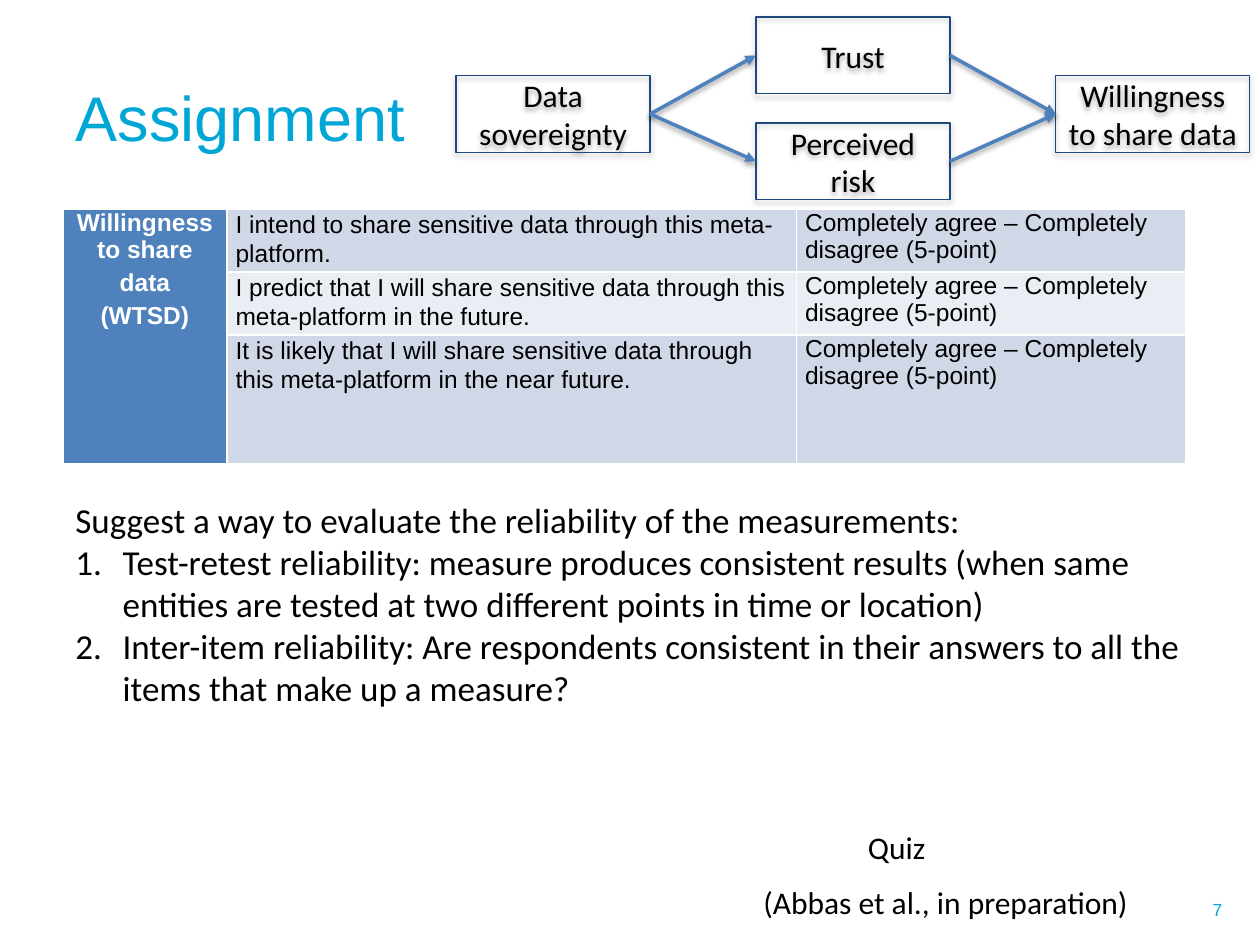
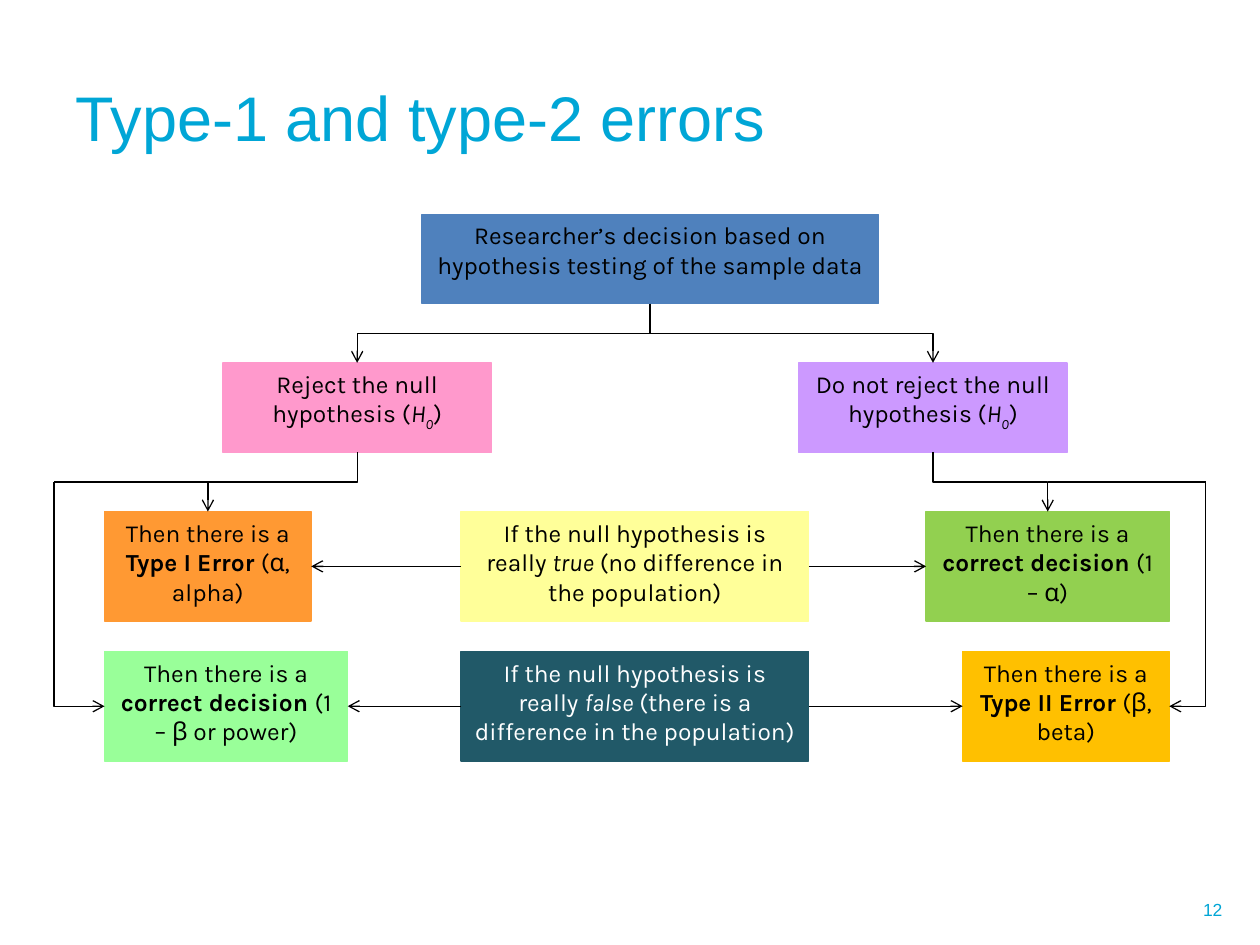
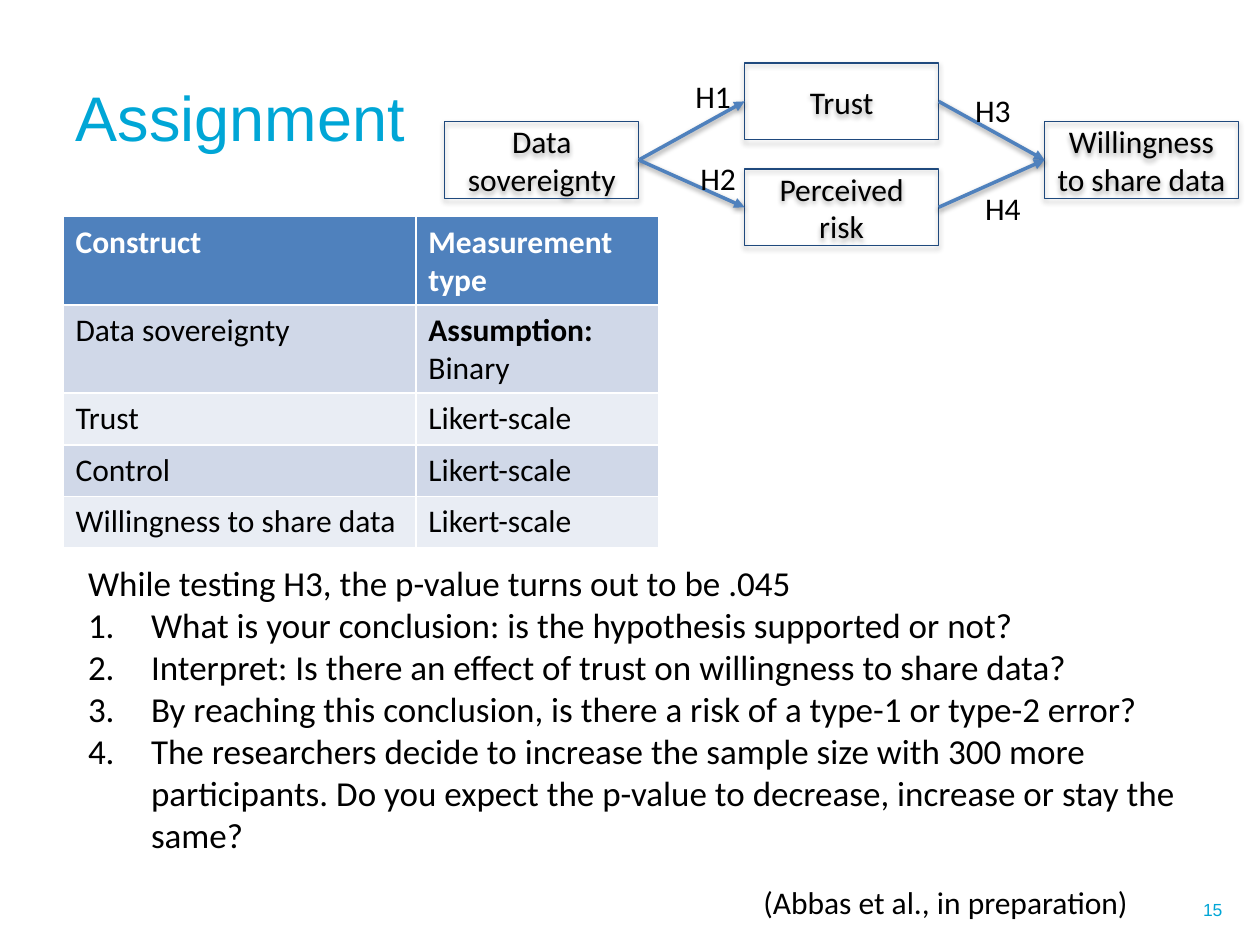
from lxml import etree
from pptx import Presentation
from pptx.dml.color import RGBColor
from pptx.enum.shapes import MSO_CONNECTOR, MSO_SHAPE
from pptx.enum.text import MSO_ANCHOR, PP_ALIGN
from pptx.oxml.ns import qn
from pptx.util import Emu, Inches, Pt

RECTANGLE = MSO_SHAPE.RECTANGLE
STRAIGHT, ELBOW = MSO_CONNECTOR.STRAIGHT, MSO_CONNECTOR.ELBOW
TOP, MIDDLE = MSO_ANCHOR.TOP, MSO_ANCHOR.MIDDLE
LEFT, CENTER, RIGHT = PP_ALIGN.LEFT, PP_ALIGN.CENTER, PP_ALIGN.RIGHT

BLACK = RGBColor(0x00, 0x00, 0x00)
WHITE = RGBColor(0xFF, 0xFF, 0xFF)
CYAN = RGBColor(0x00, 0xA6, 0xD6)
NAVY = RGBColor(0x1F, 0x49, 0x7D)
BLUE = RGBColor(0x4F, 0x81, 0xBD)
BAND_DARK = RGBColor(0xD0, 0xD8, 0xE8)
BAND_LIGHT = RGBColor(0xE9, 0xED, 0xF4)
PINK = RGBColor(0xFF, 0x99, 0xCC)
LILAC = RGBColor(0xCC, 0x99, 0xFF)
YELLOW = RGBColor(0xFF, 0xFF, 0x99)
TEAL = RGBColor(0x21, 0x59, 0x68)
ORANGE = RGBColor(0xFF, 0x99, 0x33)
MINT = RGBColor(0x99, 0xFF, 0x99)
AMBER = RGBColor(0xFF, 0xC0, 0x00)
GREEN = RGBColor(0x92, 0xD0, 0x50)

HEAD_FONT, BODY_FONT, CHART_FONT = "Arial", "Calibri", "Karla"
TITLE_ONLY = 5
COLUMNS, ROWS = 100, 75
SLIDE_WIDTH, SLIDE_HEIGHT = Inches(10), Inches(7.5)
SIDE_LEFT, SIDE_RIGHT = 1, 3  # connection sites of a rectangle
QUARTER_TURN, THREE_QUARTER_TURN = "5400000", "16200000"

SOURCE = "(Abbas et al., in preparation)"


def across(columns):
    return Emu(round(columns * SLIDE_WIDTH / COLUMNS))


def down(rows):
    return Emu(round(rows * SLIDE_HEIGHT / ROWS))


def place(at):
    left, top, width, height = at
    return across(left), down(top), across(width), down(height)


def top_of(box):
    return box.left + box.width // 2, box.top


def bottom_of(box):
    return box.left + box.width // 2, box.top + box.height


def cast_shadow(effects, distance, opacity):
    shadow = etree.SubElement(effects, qn("a:outerShdw"), blurRad="40000", dist=str(distance),
                              dir="5400000", rotWithShape="0")
    tone = etree.SubElement(shadow, qn("a:srgbClr"), val="000000")
    etree.SubElement(tone, qn("a:alpha"), val=str(opacity * 1000))


def number(paragraph, indent):
    """Turn a paragraph into an item of a numbered list."""
    properties = paragraph._p.get_or_add_pPr()
    properties.set("marL", str(indent))
    properties.set("indent", str(-indent))
    etree.SubElement(properties, qn("a:buFont"), typeface="+mj-lt")
    etree.SubElement(properties, qn("a:buAutoNum"), type="arabicPeriod")


def write(frame, paragraphs, size, font=BODY_FONT, color=BLACK, align=LEFT, bold=False):
    """Fill a frame; a paragraph is a string or a list of (text, emphasis) pieces."""
    for index, content in enumerate(paragraphs):
        paragraph = frame.paragraphs[0] if index == 0 else frame.add_paragraph()
        paragraph.alignment = align
        pieces = [(content, "")] if isinstance(content, str) else content
        for words, emphasis in pieces:
            run = paragraph.add_run()
            run.text = words
            run.font.size, run.font.name = Pt(size), font
            run.font.color.rgb = color
            run.font.bold = bold or emphasis == "bold"
            run.font.italic = emphasis in ("italic", "subscript")
            if emphasis == "subscript":
                run.font._element.set("baseline", "-25000")


class Deck:
    def __init__(self):
        self.presentation = Presentation()
        self.presentation.slide_width = SLIDE_WIDTH
        self.presentation.slide_height = SLIDE_HEIGHT
        self.slide = None

    def start(self, heading, page):
        """Add a slide with its title and page number."""
        self.slide = self.presentation.slides.add_slide(
            self.presentation.slide_layouts[TITLE_ONLY])
        title = self.slide.shapes.title
        title.left, title.top, title.width, title.height = place((5, 3, 91.4, 12.5))
        title.text_frame.vertical_anchor = MIDDLE
        write(title.text_frame, [heading], 36, HEAD_FONT, CYAN)
        self.text((72.7, 70.2, 25.3, 4), [str(page)], 10, MIDDLE,
                  font=HEAD_FONT, color=CYAN, align=RIGHT)

    def text(self, at, paragraphs, size=18, anchor=TOP, **style):
        frame = self.slide.shapes.add_textbox(*place(at)).text_frame
        frame.word_wrap = True
        frame.vertical_anchor = anchor
        write(frame, paragraphs, size, **style)
        return frame

    def questions(self, at, lead, items, indent):
        frame = self.text(at, [lead, *items], 20)
        for paragraph in frame.paragraphs[1:]:
            number(paragraph, across(indent))

    def box(self, at, content, size, fill=None, line=NAVY, anchor=TOP, **style):
        box = self.slide.shapes.add_shape(RECTANGLE, *place(at))
        if fill is None:
            box.fill.background()
        else:
            box.fill.solid()
            box.fill.fore_color.rgb = fill
        box.line.color.rgb = line
        box.line.width = Pt(0.75)
        box.shadow.inherit = False
        box.text_frame.word_wrap = True
        box.text_frame.vertical_anchor = anchor
        write(box.text_frame, [content], size, align=CENTER, **style)
        return box

    def line(self, start, end, kind=STRAIGHT, head="arrow", color=BLACK, width=0.75):
        line = self.slide.shapes.add_connector(kind, *(Emu(round(v)) for v in (*start, *end)))
        line.line.color.rgb = color
        line.line.width = Pt(width)
        properties = line._element.spPr
        if head:
            etree.SubElement(properties.find(qn("a:ln")), qn("a:tailEnd"), type=head)
        etree.SubElement(properties, qn("a:effectLst"))
        return line

    def link(self, source, source_side, target, target_side, **style):
        """Glue a straight arrow to the sides of two boxes."""
        arrow = self.line((0, 0), (0, 0), **style)
        arrow.begin_connect(source, source_side)
        arrow.end_connect(target, target_side)
        return arrow

    def drop(self, start, end, preset="bentConnector3"):
        """Draw an elbow arrow that leaves its start downwards."""
        (x1, y1), (x2, y2) = start, end
        drop, shift = y2 - y1, abs(x2 - x1)
        near, far = (x1 + x2 - drop) / 2, (x1 + x2 + drop) / 2
        top = (y1 + y2 - shift) / 2
        rightward = x2 > x1
        if rightward:
            near, far = far, near
        arrow = self.line((near, top), (far, top + shift), ELBOW)
        properties = arrow._element.spPr
        properties.find(qn("a:xfrm")).set(
            "rot", THREE_QUARTER_TURN if rightward else QUARTER_TURN)
        properties.find(qn("a:prstGeom")).set("prst", preset)

    def table(self, at, widths, heights, header_row):
        left, top = at
        table = self.slide.shapes.add_table(
            len(heights), len(widths),
            *place((left, top, sum(widths), sum(heights)))).table
        table.first_row = header_row
        for column, width in zip(table.columns, widths):
            column.width = across(width)
        for row, height in zip(table.rows, heights):
            row.height = down(height)
        return table

    def cell(self, cell, paragraphs, fill, size, **style):
        cell.fill.solid()
        cell.fill.fore_color.rgb = fill
        write(cell.text_frame, paragraphs, size, **style)

    def research_model(self, left, top):
        """Draw the four constructs and the paths between them."""
        step, up, below = 23.8, 4.65, 3.75

        def construct(name, x, y):
            box = self.box((x, y, 15.4, 6.1), name, 18, anchor=MIDDLE)
            cast_shadow(box._element.spPr.find(qn("a:effectLst")), 23000, 35)
            return box

        sovereignty = construct("Data sovereignty", left, top)
        trust = construct("Trust", left + step, top - up)
        risk = construct("Perceived risk", left + step, top + below)
        willingness = construct("Willingness to share data", left + 2 * step, top)
        for cause, effect in ((sovereignty, trust), (sovereignty, risk),
                              (trust, willingness), (risk, willingness)):
            path_arrow = self.link(cause, SIDE_RIGHT, effect, SIDE_LEFT,
                                   head="triangle", color=BLUE, width=2)
            cast_shadow(path_arrow._element.spPr.find(qn("a:effectLst")), 20000, 38)

    def source_note(self):
        self.text((59.6, 69.6, 31.3, 4), [SOURCE])


def reliability_slide(deck):
    deck.start("Assignment", 7)
    items = ["I intend to share sensitive data through this meta-platform.",
             "I predict that I will share sensitive data through this meta-platform in the future.",
             "It is likely that I will share sensitive data through this meta-platform "
             "in the near future."]
    scale = "Completely agree – Completely disagree (5-point)"
    table = deck.table((5, 16.6), (13, 45.2, 30.9), (4.7, 4.7, 9.5), header_row=False)
    table.cell(0, 0).merge(table.cell(2, 0))
    deck.cell(table.cell(0, 0), ["Willingness to share", "data", "(WTSD)"], BLUE, 14,
              font=HEAD_FONT, color=WHITE, align=CENTER, bold=True)
    for row, item in enumerate(items):
        band = BAND_LIGHT if row % 2 else BAND_DARK
        for column, words in enumerate((item, scale), start=1):
            deck.cell(table.cell(row, column), [words], band, 14, font=HEAD_FONT)
        table.cell(row, 1).text_frame.paragraphs[0].line_spacing = 1.07
    for cell in table.iter_cells():
        cell.margin_left = cell.margin_right = across(0.7)
        cell.margin_top = cell.margin_bottom = 0
    for paragraph in table.cell(0, 0).text_frame.paragraphs:
        paragraph.space_after = Pt(3)

    deck.questions(
        (5, 39.1, 91.4, 21.2),
        "Suggest a way to evaluate the reliability of the measurements:",
        ["Test-retest reliability: measure produces consistent results (when same entities "
         "are tested at two different points in time or location)",
         "Inter-item reliability: Are respondents consistent in their answers to all the "
         "items that make up a measure?"], 3.75)
    deck.research_model(36.2, 6)
    deck.source_note()
    deck.text((67.9, 65.2, 8.7, 4), ["Quiz"])


def error_types_slide(deck):
    deck.start("Type-1 and type-2 errors", 12)
    test_top, choice_top, true_top, false_top = 17, 28.8, 40.6, 51.7
    choice_height, outcome_height = 7.1, 8.7

    def step(left, top, width, height, fill, content, color=BLACK):
        return deck.box((left, top, width, height), content, 14, fill, fill,
                        font=CHART_FONT, color=color)

    def choice(left, fill, words):
        return step(left, choice_top, 21.3, choice_height, fill,
                    [(words + " the null hypothesis (", ""), ("H", "italic"),
                     ("0", "subscript"), (")", "")])

    def reality(top, fill, state, meaning, color=BLACK):
        return step(36.6, top, 27.6, outcome_height, fill,
                    [("If the null hypothesis is really ", ""), (state, "italic"),
                     (f" ({meaning} in the population)", "")], color)

    def outcome(left, top, width, fill, verdict, chance):
        return step(left, top, width, outcome_height, fill,
                    [("Then there is a ", ""), (verdict + " ", "bold"), (chance, "")])

    decision = step(33.5, test_top, 36.2, choice_height, BLUE,
                    "Researcher’s decision based on hypothesis testing of the sample data")
    reject = choice(17.7, PINK, "Reject")
    keep = choice(63.4, LILAC, "Do not reject")
    really_true = reality(true_top, YELLOW, "true", "no difference")
    really_false = reality(false_top, TEAL, "false", "there is a difference", WHITE)
    type_one = outcome(8.3, true_top, 16.4, ORANGE, "Type I Error", "(α, alpha)")
    power = outcome(8.3, false_top, 19.3, MINT, "correct decision", "(1 – β or power)")
    type_two = outcome(76.4, false_top, 16.4, AMBER, "Type II Error", "(β, beta)")
    correct = outcome(73.5, true_top, 19.3, GREEN, "correct decision", "(1 – α)")

    for option, near, far, rail, far_edge in (
            (reject, type_one, power, 4.3, power.left),
            (keep, correct, type_two, 95.7, type_two.left + type_two.width)):
        deck.drop(bottom_of(decision), top_of(option))
        deck.drop(bottom_of(option), top_of(near))
        branch_y = (bottom_of(option)[1] + near.top) / 2
        corner = across(rail), branch_y
        deck.line((top_of(near)[0], branch_y), corner, head=None)
        deck.drop(corner, (far_edge, far.top + far.height / 2), "bentConnector2")

    for state, left_outcome, right_outcome in ((really_true, type_one, correct),
                                               (really_false, power, type_two)):
        deck.link(state, SIDE_LEFT, left_outcome, SIDE_RIGHT)
        deck.link(state, SIDE_RIGHT, right_outcome, SIDE_LEFT)


def hypothesis_slide(deck):
    deck.start("Assignment", 15)
    deck.questions(
        (6, 44.1, 92.2, 24.5),
        "While testing H3, the p-value turns out to be .045",
        ["What is your conclusion: is the hypothesis supported or not?",
         "Interpret: Is there an effect of trust on willingness to share data?",
         "By reaching this conclusion, is there a risk of a type-1 or type-2 error?",
         "The researchers decide to increase the sample size with 300 more participants. "
         "Do you expect the p-value to decrease, increase or stay the same?"], 5)
    deck.research_model(35.3, 9.65)
    for hypothesis, left, top in (("H1", 54.2, 5.6), ("H2", 54.6, 12.1),
                                  ("H3", 76.4, 6.7), ("H4", 77.2, 14.5)):
        deck.text((left, top, 4.9, 4), [hypothesis])

    measures = [("Construct", "Measurement type"),
                ("Data sovereignty", [("Assumption: ", "bold"), ("Binary", "")]),
                ("Trust", "Likert-scale"),
                ("Control", "Likert-scale"),
                ("Willingness to share data", "Likert-scale")]
    table = deck.table((5, 17.2), (28, 19.3), (6.9, 6.9, 4.1, 4.1, 4.1), header_row=True)
    for row, measure in enumerate(measures):
        header = row == 0
        fill = BLUE if header else BAND_DARK if row % 2 else BAND_LIGHT
        for column, content in enumerate(measure):
            deck.cell(table.cell(row, column), [content], fill, 18,
                      color=WHITE if header else BLACK, bold=header)
    deck.source_note()


def main():
    deck = Deck()
    reliability_slide(deck)
    error_types_slide(deck)
    hypothesis_slide(deck)
    deck.presentation.save("out.pptx")


if __name__ == "__main__":
    main()
